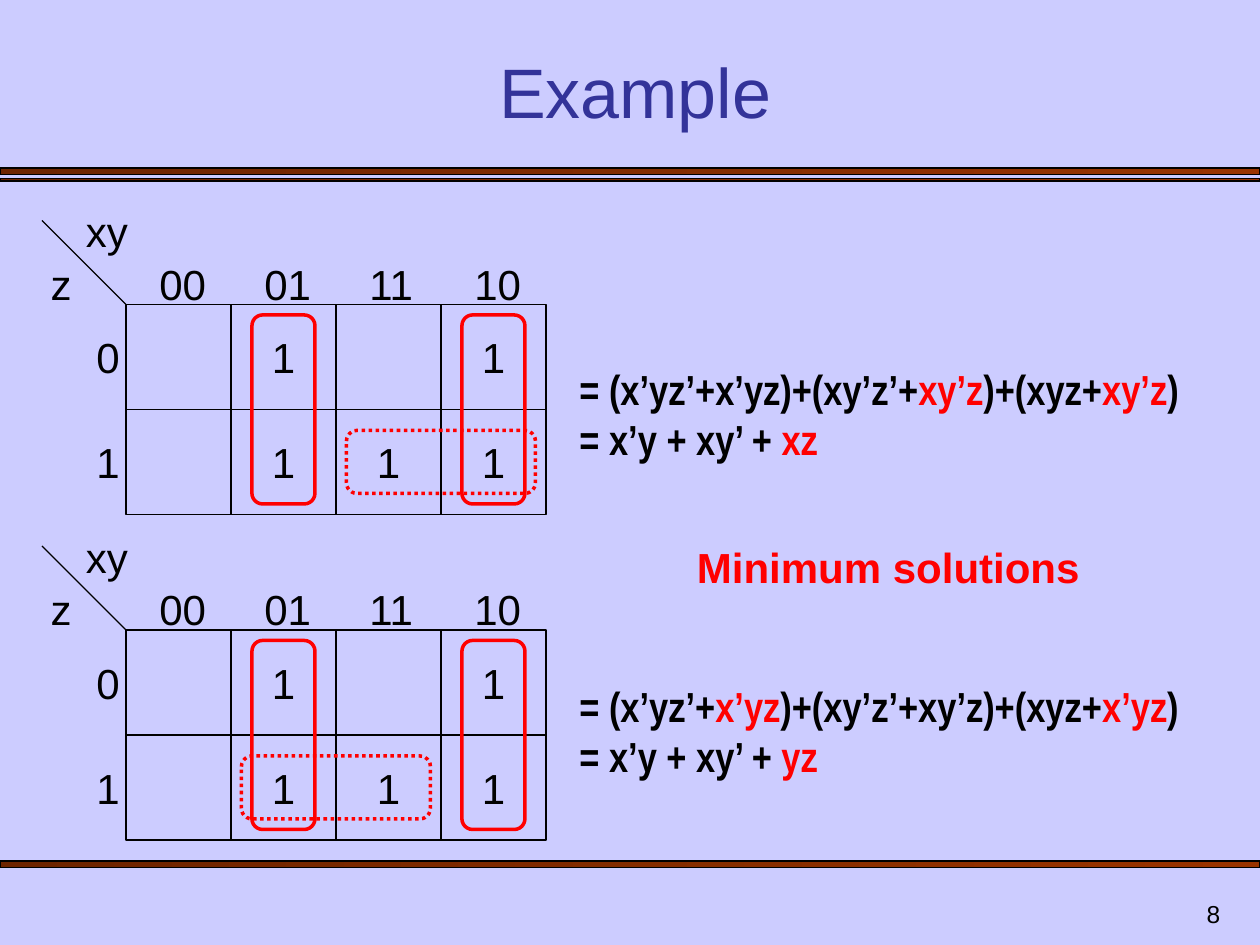
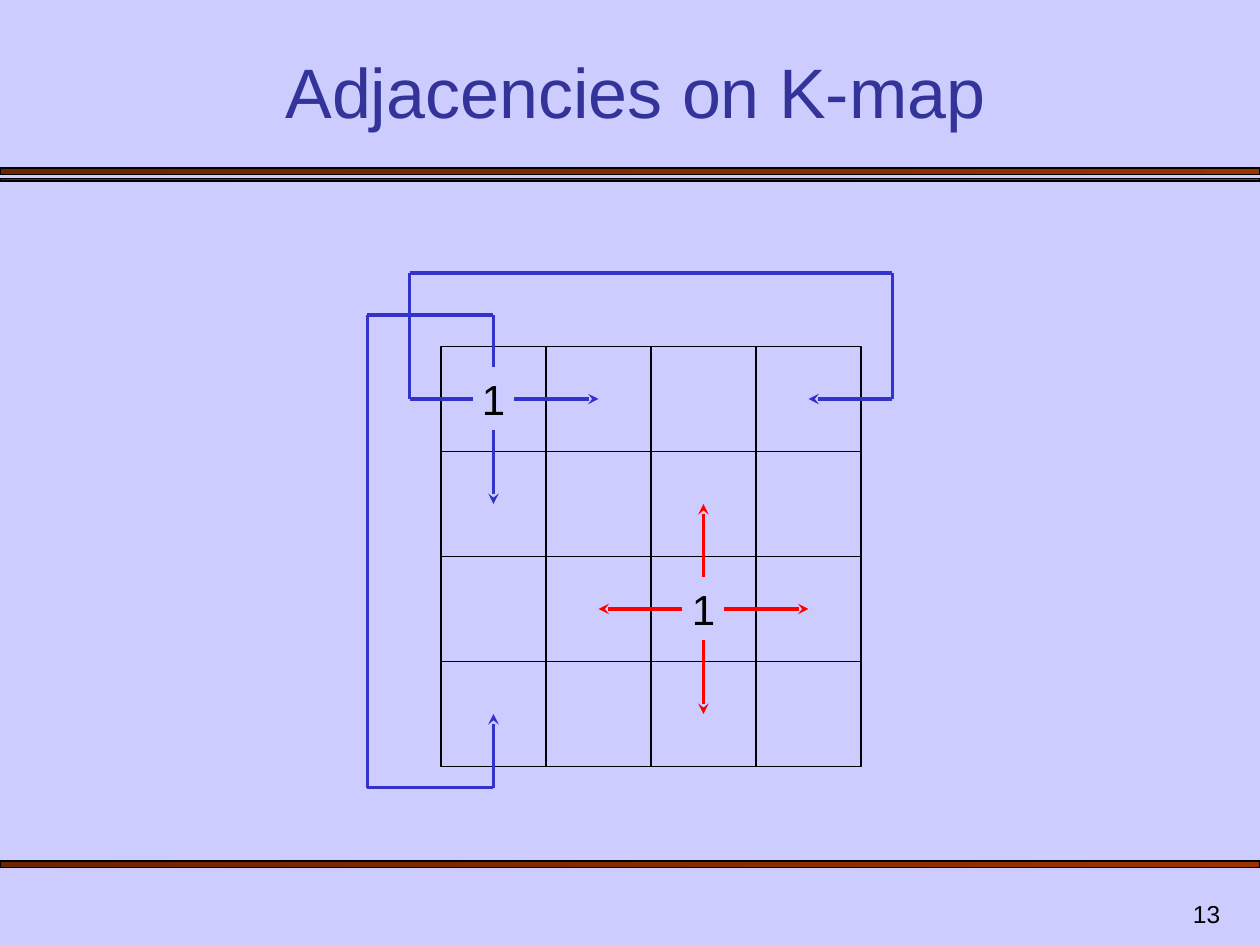
from lxml import etree
from pptx import Presentation
from pptx import util as u
from pptx.dml.color import RGBColor
from pptx.enum import dml, shapes, text
from pptx.oxml import ns

COLORS = {
    "background": "CCCCFF", "title": "333399", "ink": "000000",
    "red": "FF0000", "blue": "3333CC",
    "band_start": "6D2400", "band_end": "993300",
}
BANDS = [(16, 0.6), (17, 0.25), (82, 0.6)]
CELL = 10

EXAMPLE = {"title": "Example", "number": "8"}
COLUMN_LABELS = ["00", "01", "11", "10"]
ROW_LABELS = ["0", "1"]
ONES = [(0, 1), (0, 3), (1, 1), (1, 2), (1, 3)]
COLUMN_LOOPS = [1, 3]
MAPS = [
    {"top": 29, "dotted_column": 2, "formula_box": (54, 34, 63, 10.8), "formula": [
        [("= (x’yz’+x’yz)+(xy’z’+", "ink"), ("xy’z", "red"), (")+(xyz+", "ink"),
         ("xy’z", "red"), (")", "ink")],
        [("= x’y + xy’ + ", "ink"), ("xz", "red")]]},
    {"top": 60, "dotted_column": 1, "formula_box": (54, 64.2, 60, 10.8), "formula": [
        [("= (x’yz’+", "ink"), ("x’yz", "red"), (")+(xy’z’+xy’z)+(xyz+", "ink"),
         ("x’yz", "red"), (")", "ink")],
        [("= x’y + xy’ + ", "ink"), ("yz", "red")]]},
]
MAP_LEFT = 12
CAPTION = "Minimum solutions"

ADJACENCIES = {"title": "Adjacencies on K-map", "number": "13"}
GRID_LEFT, GRID_TOP, GRID_SIZE = 42, 33, 4
NEIGHBOURS = [
    (0, 0, "blue", ["right", "down"]),
    (2, 2, "red", ["right", "down", "up", "left"]),
]
ARROWS = {
    "right": ((2, 0), (10, 0)), "left": ((-2, 0), (-10, 0)),
    "down": ((0, 3), (0, 10)), "up": ((0, -3), (0, -10)),
}
WRAP_ROUTES = [
    [(45, 38), (39, 38), (39, 26), (85, 26), (85, 38), (77, 38)],
    [(47, 35), (47, 30), (35, 30), (35, 75), (47, 75), (47, 68)],
]


def grid(*lengths):
    return [u.Cm(length * 2.54 / 12) for length in lengths]


def rgb(name):
    return RGBColor.from_string(COLORS[name])


def add_outline(page, kind, at, color="ink", width=0.75):
    shape = page.shapes.add_shape(kind, *grid(*at))
    shape.shadow.inherit = False
    shape.fill.background()
    shape.line.color.rgb = rgb(color)
    shape.line.width = u.Pt(width)
    return shape


def add_cell(page, left, top):
    add_outline(page, shapes.MSO_SHAPE.RECTANGLE, (left, top, CELL, CELL))


def add_loop(page, *at, dotted=False):
    loop = add_outline(page, shapes.MSO_SHAPE.ROUNDED_RECTANGLE, at, "red", 2)
    loop.adjustments[0] = 0.17
    if dotted:
        loop.line.dash_style = dml.MSO_LINE.ROUND_DOT


def add_line(page, start, end, color="ink", width=0.75, arrow=False):
    line = page.shapes.add_connector(
        shapes.MSO_CONNECTOR.STRAIGHT, *grid(*start, *end))
    line.line.color.rgb = rgb(color)
    line.line.width = u.Pt(width)
    if arrow:
        outline = line.line._get_or_add_ln()
        etree.SubElement(outline, ns.qn("a:tailEnd"), type="stealth")
    etree.SubElement(line._element.spPr, ns.qn("a:effectLst"))


def add_text(page, at, lines, size=24, color="ink", font="Arial", bold=False,
             align="LEFT", wrap=True, grow=True):
    box = page.shapes.add_textbox(*grid(*at))
    frame = box.text_frame
    frame.word_wrap = wrap
    para = frame.paragraphs[0]
    para.alignment = text.PP_ALIGN[align]
    para.font.size = u.Pt(size)
    para.font.name = font
    para.font.bold = bold
    if grow:
        frame.auto_size = text.MSO_AUTO_SIZE.SHAPE_TO_FIT_TEXT
        before = etree.Element(ns.qn("a:spcBef"))
        etree.SubElement(before, ns.qn("a:spcPct"), val="50000")
        para._p.get_or_add_pPr().insert(0, before)
    else:
        frame.auto_size = text.MSO_AUTO_SIZE.NONE
        frame.vertical_anchor = text.MSO_ANCHOR.BOTTOM
    if isinstance(lines, str):
        lines = [[(lines, color)]]
    for index, spans in enumerate(lines):
        if index:
            para.add_line_break()
        for words, span_color in spans:
            span = para.add_run()
            span.text = words
            span.font.color.rgb = rgb(span_color)


def add_one(page, left, top):
    add_text(page, (left, top + 2, CELL, 6), "1", align="CENTER")


def add_page(deck, content):
    page = deck.slides.add_slide(deck.slide_layouts[6])
    for top, height in BANDS:
        band = add_outline(page, shapes.MSO_SHAPE.RECTANGLE, (0, top, 120, height))
        band.fill.gradient()
        band.fill.gradient_angle = 0
        for stop, name in zip(band.fill.gradient_stops, ("band_start", "band_end")):
            stop.color.rgb = rgb(name)
    add_text(page, (92.4, 84, 25, 5), content["number"], size=14,
             align="RIGHT", grow=False)
    add_text(page, (7, 5, 107, 8.2), content["title"], size=40,
             color="title", align="CENTER", grow=False)
    return page


def draw_map(page, top, dotted_column, formula_box, formula):
    lefts = [MAP_LEFT + CELL * column for column in range(len(COLUMN_LABELS))]
    tops = [top + CELL * row for row in range(len(ROW_LABELS))]
    add_text(page, (MAP_LEFT - 5, top - 10, 8, 6), "xy")
    add_text(page, (MAP_LEFT - 10, top - 5, 6, 6), "z", align="RIGHT")
    add_line(page, (MAP_LEFT - 8, top - 8), (MAP_LEFT, top))
    for left, label in zip(lefts, COLUMN_LABELS):
        add_text(page, (left + 2, top - 5, 7.2, 6), label)
    for cell_top, label in zip(tops, ROW_LABELS):
        add_text(page, (MAP_LEFT - 4, cell_top + 2, 5.2, 6), label)
        for left in lefts:
            add_cell(page, left, cell_top)
    for row, column in ONES:
        add_one(page, lefts[column], tops[row])
    for column in COLUMN_LOOPS:
        add_loop(page, lefts[column] + 2, top + 1, 6, 18)
    add_loop(page, lefts[dotted_column] + 1, tops[1] + 2, 18, 6, dotted=True)
    add_text(page, formula_box, formula, font="Arial Narrow", bold=True)


def draw_adjacencies(page):
    for row in range(GRID_SIZE):
        for column in range(GRID_SIZE):
            add_cell(page, GRID_LEFT + CELL * column, GRID_TOP + CELL * row)
    for row, column, color, directions in NEIGHBOURS:
        left, top = GRID_LEFT + CELL * column, GRID_TOP + CELL * row
        add_one(page, left, top)
        for direction in directions:
            start, end = [(left + CELL / 2 + x, top + CELL / 2 + y)
                          for x, y in ARROWS[direction]]
            add_line(page, start, end, color, 2, arrow=True)
    for route in WRAP_ROUTES:
        for start, end in zip(route, route[1:]):
            add_line(page, start, end, "blue", 2, arrow=end == route[-1])


def main():
    deck = Presentation()
    deck.slide_width, deck.slide_height = u.Cm(25.4), u.Cm(19.05)
    background = deck.slide_master.background.fill
    background.solid()
    background.fore_color.rgb = rgb("background")

    page = add_page(deck, EXAMPLE)
    for kmap in MAPS:
        draw_map(page, **kmap)
    add_text(page, (65.2, 51, 38.9, 6), CAPTION, color="red", bold=True, wrap=False)

    draw_adjacencies(add_page(deck, ADJACENCIES))
    deck.save("out.pptx")


if __name__ == "__main__":
    main()
